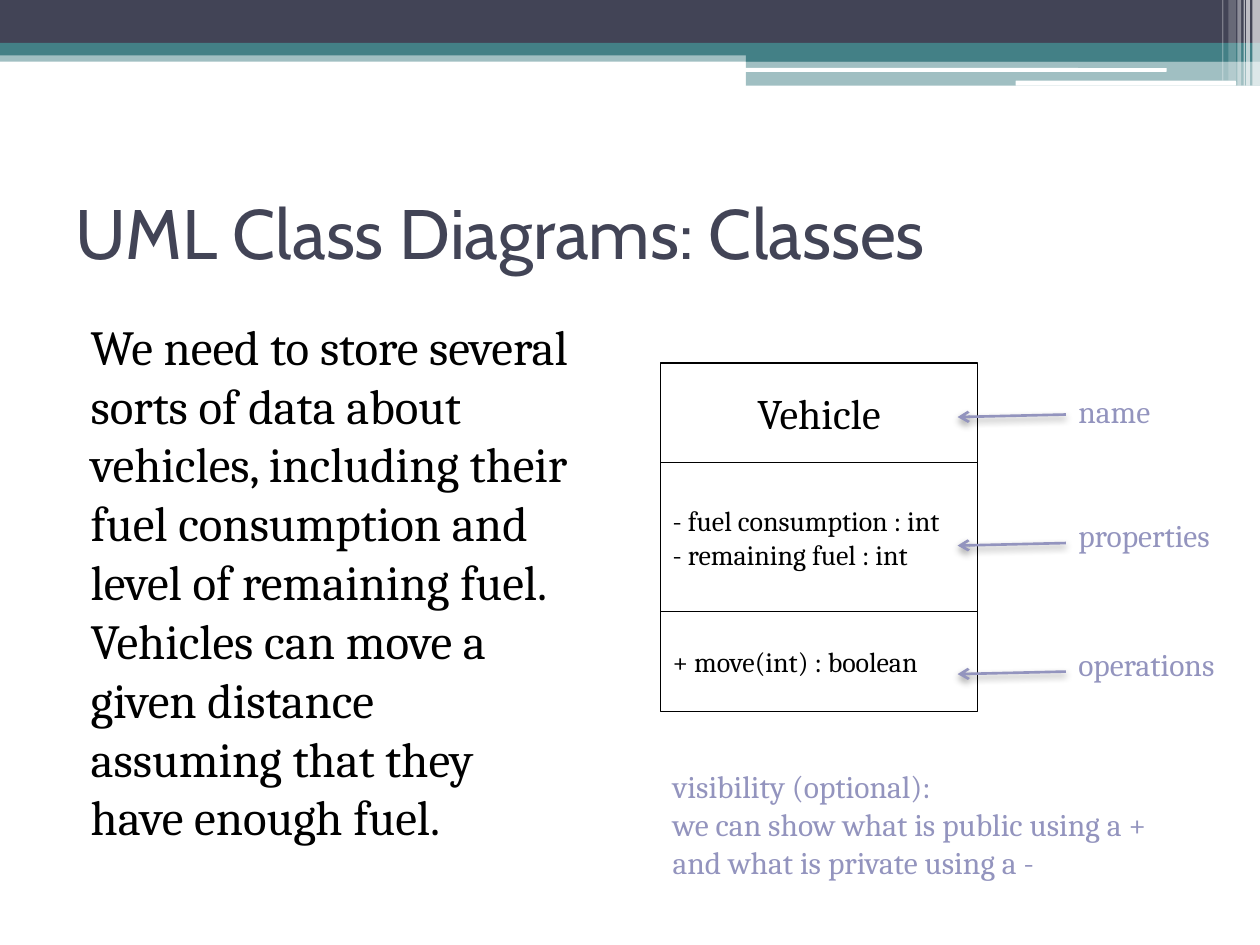
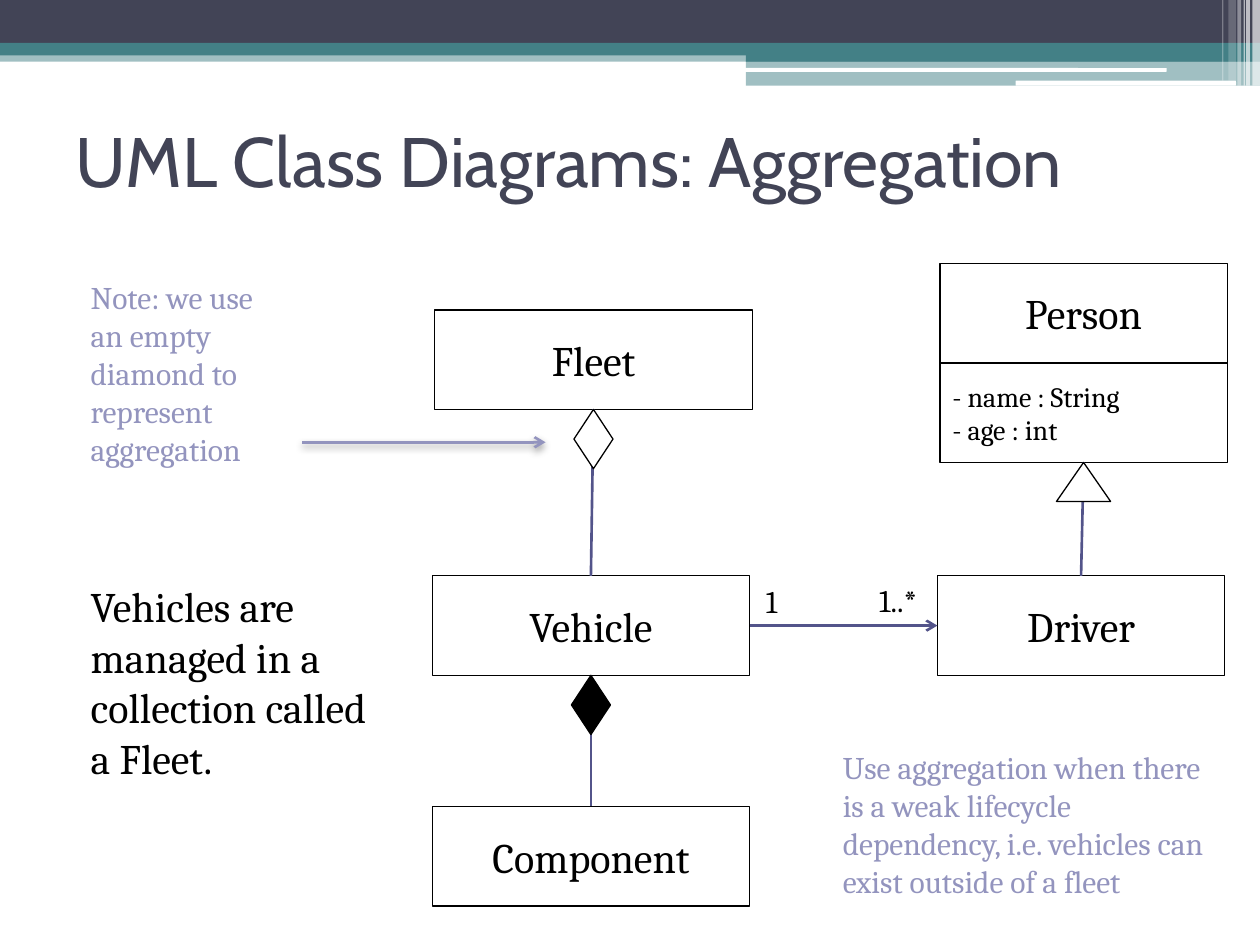
from dataclasses import dataclass

from lxml.etree import SubElement
from pptx import Presentation
from pptx.dml.color import RGBColor
from pptx.enum.shapes import MSO_CONNECTOR, MSO_SHAPE as SHAPE
from pptx.enum.text import MSO_ANCHOR as ANCHOR, MSO_AUTO_SIZE as AUTO, PP_ALIGN as ALIGN
from pptx.oxml.ns import qn
from pptx.util import Inches, Pt


@dataclass(frozen=True)
class Theme:
    navy: str = "424456"
    teal: str = "438086"
    white: str = "FFFFFF"
    ink: str = "000000"
    link: str = "53548A"
    note: str = "9394BE"
    head_font: str = "Cabin"
    body_font: str = "Cambria"
    title: int = 40
    text: int = 28
    name: int = 24
    label: int = 18
    member: int = 16
    outline: float = 0.75
    stroke: float = 1.5


T = Theme()

# Grid of 100 columns by 75 rows
WIDTH, HEIGHT = Inches(10), Inches(7.5)
COL, ROW = WIDTH / 100, HEIGHT / 75
CLASS_H = 7.9            # height of one class compartment, in rows
CLASS_W = 25.2           # usual class width, in columns
DIAMOND = (3.1, 4.7)
TRIANGLE = (4.3, 3.1)

# Header bands: shape, left, top, width, height, colour, opacity in percent
BANDS = [
    (SHAPE.RECTANGLE, 0, 4, 100, 0.9, T.teal, 50),
    (SHAPE.RECTANGLE, 0, 0, 100, 3.4, T.navy, 100),
    (SHAPE.RECTANGLE, 0, 3.4, 100, 1, T.teal, 100),
    (SHAPE.RECTANGLE, 59.2, 3.9, 40.8, 1, T.teal, 100),
    (SHAPE.RECTANGLE, 59.2, 4.8, 40.8, 2, T.teal, 50),
    (SHAPE.ROUNDED_RECTANGLE, 59.1, 5.4, 33.5, 0.3, T.white, 100),
    (SHAPE.ROUNDED_RECTANGLE, 80.6, 6.4, 17.5, 0.4, T.white, 100),
]
# Pale stripes at the right end: left, width, height, opacity
STRIPES = [(99.4, 0.6, 6.8, 65), (98.9, 0.3, 6.8, 65), (98.7, 0.1, 6.8, 60),
           (98.2, 0.3, 6.8, 40), (97.5, 0.6, 6.4, 20), (97, 0.1, 6.4, 30)]


def rgb(color):
    return RGBColor.from_string(color)


def cells(x, y, w, h):
    return round(x * COL), round(y * ROW), round(w * COL), round(h * ROW)


def style_text(tf, size, color=T.ink, font=T.body_font, align=ALIGN.LEFT):
    for p in tf.paragraphs:
        p.alignment = align
        for r in p.runs:
            r.font.size, r.font.name = Pt(size), font
            r.font.color.rgb = rgb(color)


def add_figure(s, kind, x, y, w, h, fill=None, line=T.ink):
    sp = s.shapes.add_shape(kind, *cells(x, y, w, h))
    sp.shadow.inherit = False
    if fill:
        sp.fill.solid()
        sp.fill.fore_color.rgb = rgb(fill)
    else:
        sp.fill.background()
    if line:
        sp.line.color.rgb = rgb(line)
        sp.line.width = Pt(T.outline)
    else:
        sp.line.fill.background()
    return sp


def add_bands(s, layout):
    """Draw the header bands once and hand them to the shared layout."""
    stripes = [(SHAPE.RECTANGLE, x, 0, w, h, T.white, opacity)
               for x, w, h, opacity in STRIPES]
    for *place, color, opacity in BANDS + stripes:
        sp = add_figure(s, *place, fill=color, line=None)
        if opacity < 100:
            tone = sp.element.spPr.find(qn("a:solidFill"))[0]
            SubElement(tone, qn("a:alpha"), val=str(opacity * 1000))
        layout.shapes.element.append(sp.element)


def fill_placeholder(ph, text, place, size, **style):
    ph.left, ph.top, ph.width, ph.height = cells(*place)
    tf = ph.text_frame
    tf.text = text
    tf.auto_size = AUTO.NONE
    style_text(tf, size, **style)
    return tf


def add_title(s, text, place):
    tf = fill_placeholder(s.shapes.title, text, place, T.title,
                          color=T.navy, font=T.head_font)
    tf.vertical_anchor = ANCHOR.MIDDLE


def add_body(s, text, place, size):
    p = fill_placeholder(s.placeholders[1], text, place, size).paragraphs[0]
    p.space_before = Pt(0)
    pPr = p._p.get_or_add_pPr()
    pPr.set("marL", str(Inches(0.12)))
    pPr.set("indent", "0")
    SubElement(pPr, qn("a:buNone"))


def add_label(s, text, x, y, w, h, color=T.note, wrap=False):
    sp = s.shapes.add_textbox(*cells(x, y, w, h))
    tf = sp.text_frame
    tf.text = text
    tf.word_wrap = wrap
    tf.auto_size = AUTO.SHAPE_TO_FIT_TEXT
    style_text(tf, T.label, color)


def add_class(s, x, y, name, *parts, w=CLASS_W):
    """Stack a name compartment and (text, relative height) compartments."""
    for i, (text, share) in enumerate([(name, 1), *parts]):
        h = CLASS_H * share
        tf = add_figure(s, SHAPE.RECTANGLE, x, y, w, h).text_frame
        tf.text = text
        tf.word_wrap = True
        tf.vertical_anchor = ANCHOR.MIDDLE
        if i == 0:
            style_text(tf, T.name, align=ALIGN.CENTER)
        else:
            style_text(tf, T.member)
        y += h


def add_link(s, x1, y1, x2, y2, color=T.link, arrow=False, shadow=False):
    ends = cells(x1, y1, x2, y2)
    c = s.shapes.add_connector(MSO_CONNECTOR.STRAIGHT, *ends)
    c.line.color.rgb = rgb(color)
    c.line.width = Pt(T.stroke)
    if arrow:
        SubElement(c.line._get_or_add_ln(), qn("a:tailEnd"), type="arrow")
    effects = SubElement(c.element.spPr, qn("a:effectLst"))
    if shadow:
        cast = SubElement(effects, qn("a:outerShdw"), blurRad=str(Pt(4.1)),
                          dist=str(Pt(2)), dir="5400000", rotWithShape="0")
        tone = SubElement(cast, qn("a:srgbClr"), val=T.ink)
        SubElement(tone, qn("a:alpha"), val="40000")


def add_pointer(s, x1, y1, x2, y2):
    add_link(s, x1, y1, x2, y2, color=T.note, arrow=True, shadow=True)


def add_end(s, kind, tip_x, tip_y, size, fill=T.white):
    """Place a relation symbol with its tip under a class box."""
    w, h = size
    add_figure(s, kind, tip_x - w / 2, tip_y, w, h, fill=fill)


def build_classes(s):
    add_title(s, "UML Class Diagrams: Classes", (5, 12.5, 90, 11.7))
    add_body(s, "We need to store several sorts of data about vehicles, including "
                "their fuel consumption and level of remaining fuel. Vehicles can "
                "move a given distance assuming that they have enough fuel.",
             (5, 24.6, 41.1, 47.3), T.text)
    add_class(s, 52.4, 28.8, "Vehicle",
              ("- fuel consumption : int\n- remaining fuel : int", 1.5),
              ("+ move(int) : boolean", 1))

    # Names of the three compartments
    for text, y, w, arrow_y in [("name", 30.6, 8.2, 32.9),
                                ("properties", 40.5, 13.5, 43.1),
                                ("operations", 50.7, 13.9, 53.3)]:
        add_label(s, text, 84.6, y, w, 4)
        add_pointer(s, 84.6, arrow_y, 76, arrow_y + 0.2)
    add_label(s, "visibility (optional):\nwe can show what is public using a +\n"
                 "and what is private using a -", 52.4, 60.4, 42.8, 10.1)


def build_aggregation(s):
    add_title(s, "UML Class Diagrams: Aggregation", (5, 6.8, 93, 11.7))
    add_body(s, "Vehicles are managed in a collection called a Fleet.",
             (5, 45.6, 25.3, 26.3), T.name)

    # Classes
    left, top, driver_w = 34.3, 45.7, 22.8
    driver_x = 74.4
    fleet_y, person_y, component_y = 24.6, 20.9, 64
    add_class(s, left, top, "Vehicle")
    add_class(s, driver_x, top, "Driver", w=driver_w)
    add_class(s, driver_x + 0.2, person_y, "Person",
              ("- name : String\n- age : int", 1), w=driver_w)
    add_class(s, left, component_y, "Component")
    add_class(s, left + 0.2, fleet_y, "Fleet")

    # Association with its multiplicities
    mid_y = top + CLASS_H / 2
    add_link(s, left + CLASS_W, mid_y, driver_x, mid_y, arrow=True)
    add_label(s, "1", 59.8, 45.7, 3.1, 4, color=T.ink)
    add_label(s, "1..*", 68.8, 45.6, 5.7, 4, color=T.ink)

    # Inheritance, composition and aggregation
    mid_x, driver_mid = left + CLASS_W / 2, driver_x + driver_w / 2
    person_end, fleet_end = person_y + 2 * CLASS_H, fleet_y + CLASS_H
    vehicle_end = top + CLASS_H
    add_link(s, driver_mid, top, driver_mid + 0.2, person_end)
    add_end(s, SHAPE.ISOSCELES_TRIANGLE, driver_mid + 0.2, person_end, TRIANGLE)
    add_link(s, mid_x, component_y, mid_x, vehicle_end)
    add_end(s, SHAPE.DIAMOND, mid_x, vehicle_end, DIAMOND, fill=T.ink)
    add_link(s, mid_x + 0.2, fleet_end, mid_x, top)
    add_end(s, SHAPE.DIAMOND, mid_x + 0.2, fleet_end, DIAMOND)

    # Notes
    add_label(s, "Note: we use an empty diamond to represent aggregation",
              6.2, 21.6, 17.8, 16.2, wrap=True)
    add_pointer(s, 24, 35.1, 43.3, 35.1)
    add_label(s, "Use aggregation when there is a weak lifecycle dependency, i.e. "
                 "vehicles can exist outside of a fleet",
              65.9, 58.9, 31.1, 13.1, wrap=True)


def main():
    prs = Presentation()
    prs.slide_width, prs.slide_height = WIDTH, HEIGHT
    layout = prs.slide_layouts[1]
    # Keep only the title and body placeholders on the layout
    for ph in list(layout.placeholders):
        if ph.placeholder_format.idx > 1:
            ph.element.getparent().remove(ph.element)

    first, second = (prs.slides.add_slide(layout) for _ in range(2))
    add_bands(first, layout)
    build_classes(first)
    build_aggregation(second)
    prs.save("out.pptx")


if __name__ == "__main__":
    main()
